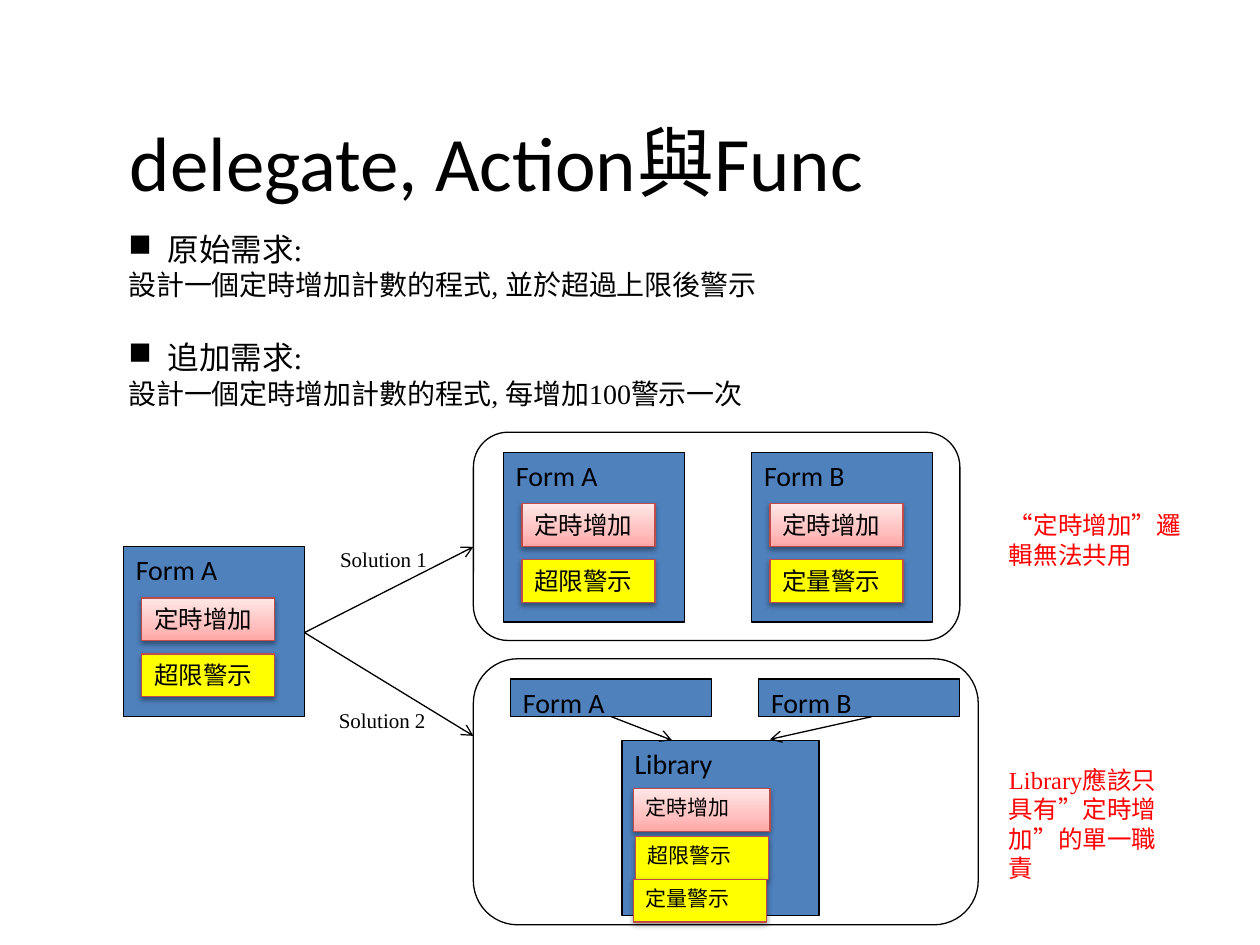
from copy import deepcopy
from lxml.etree import SubElement
from pptx import Presentation
from pptx.dml.color import RGBColor
from pptx.enum.shapes import MSO_CONNECTOR, MSO_SHAPE
from pptx.enum.text import MSO_ANCHOR, PP_ALIGN
from pptx.oxml.ns import qn
from pptx.util import Pt

COLORS = {"black": "000000", "blue": "4F81BD", "yellow": "FFFF00", "edge": "BF4C48", "red": "FF0000"}
COLORS = {name: RGBColor.from_string(value) for name, value in COLORS.items()}
PINK_STOPS = [(0, "FFA6A5"), (0.35, "FFC0BF"), (1, "FFE7E7")]

deck = Presentation()
deck.slide_width, deck.slide_height = Pt(720), Pt(540)
page = deck.slides.add_slide(deck.slide_layouts[5])


def write(shape, text, size, font="Calibri", color="black"):
    frame = shape.text_frame
    frame.word_wrap = True
    frame.vertical_anchor = MSO_ANCHOR.TOP
    para = frame.paragraphs[0]
    para.text = text
    para.alignment = PP_ALIGN.LEFT
    para.font.size = Pt(size)
    para.font.name = font
    para.font.color.rgb = COLORS[color]


def add_box(left, top, width, height, fill=None, text="", size=16, kind=MSO_SHAPE.RECTANGLE):
    box = page.shapes.add_shape(kind, Pt(left), Pt(top), Pt(width), Pt(height))
    box.shadow.inherit = False
    box.line.width = Pt(0.75)
    box.line.color.rgb = COLORS["edge" if fill in ("pink", "yellow") else "black"]
    if fill is None:
        box.fill.background()
    elif fill == "pink":
        box.fill.gradient()
        box.fill.gradient_angle = 90
        stop_list = box._element.spPr.find(qn("a:gradFill")).find(qn("a:gsLst"))
        stop_list.append(deepcopy(stop_list[0]))
        for stop, (position, color) in zip(box.fill.gradient_stops, PINK_STOPS):
            stop.position = position
            stop.color.rgb = RGBColor.from_string(color)
    else:
        box.fill.solid()
        box.fill.fore_color.rgb = COLORS[fill]
    if fill in ("pink", "yellow"):
        effects = box._element.spPr.find(qn("a:effectLst"))
        shadow = SubElement(effects, qn("a:outerShdw"), blurRad=str(Pt(3.1)),
                            dist=str(Pt(1.6)), dir="5400000", rotWithShape="0")
        tint = SubElement(shadow, qn("a:srgbClr"), val="000000")
        SubElement(tint, qn("a:alpha"), val="38000")
    if text:
        write(box, text, size)


title = page.shapes.title
title.left, title.top, title.width, title.height = Pt(67), Pt(60.5), Pt(628), Pt(62.5)
write(title, "delegate, Action與Func", 44)
title.text_frame.vertical_anchor = MSO_ANCHOR.MIDDLE

needs = page.shapes.add_textbox(Pt(66.25), Pt(128), Pt(628), Pt(363)).text_frame
needs.word_wrap = True
need_lines = [
    ("原始需求:", True, 0),
    ("設計一個定時增加計數的程式, 並於超過上限後警示", False, 0),
    ("追加需求:", True, 21),
    ("設計一個定時增加計數的程式, 每增加100警示一次", False, 0),
]
for index, (text, heading, gap) in enumerate(need_lines):
    para = needs.add_paragraph() if index else needs.paragraphs[0]
    para.text = text
    para.space_before = Pt(gap)
    para.font.size = Pt(18 if heading else 16)
    para.font.name = "Times New Roman"
    para.font.color.rgb = COLORS["black"]
    if heading:
        props = para._p.get_or_add_pPr()
        props.set("marL", str(Pt(22.5)))
        props.set("indent", str(-Pt(22.5)))
        bullet = SubElement(props, qn("a:buChar"), char="■")
        props.insert_element_before(bullet, "a:tabLst", "a:defRPr", "a:extLst")

forms = [
    (70.5, 312.5, "Form A", "超限警示"),
    (287.75, 258.5, "Form A", "超限警示"),
    (429.5, 258.5, "Form B", "定量警示"),
]
for left, top, name, alert in forms:
    add_box(left, top, 103.5, 97, "blue", name)
    add_box(left + 10.5, top + 29.25, 76, 24.5, "pink", "定時增加", 14)
    add_box(left + 10.5, top + 61.25, 76, 24.5, "yellow", alert, 14)

for left, name in [(291.75, "Form A"), (433.5, "Form B")]:
    add_box(left, 388, 115, 21.5, "blue", name)
add_box(355.5, 423, 112.5, 100, "blue", "Library")
add_box(362, 450.5, 78, 24.5, "pink", "定時增加", 12)
add_box(363, 478, 76, 24.5, "yellow", "超限警示", 12)
add_box(362, 502.5, 76, 24.5, "yellow", "定量警示", 12)

for top, width, height in [(247, 278, 119), (376.5, 288.5, 152)]:
    add_box(270.5, top, width, height, kind=MSO_SHAPE.ROUNDED_RECTANGLE)

arrows = [
    (174, 361.5, 270.5, 312.5),
    (174, 361.5, 270.5, 420.5),
    (349.25, 409.5, 384, 423),
    (498.25, 409.5, 440, 422.5),
]
for ends in arrows:
    arrow = page.shapes.add_connector(MSO_CONNECTOR.STRAIGHT, *map(Pt, ends))
    arrow.line.width = Pt(0.75)
    arrow.line.color.rgb = COLORS["black"]
    SubElement(arrow.line._get_or_add_ln(), qn("a:tailEnd"), type="arrow")
    SubElement(arrow._element.spPr, qn("a:effectLst"))

labels = [
    (187.25, 309, 70.5, 21.5, "Solution 1", 12, "black"),
    (186.5, 400.5, 70.5, 21.5, "Solution 2", 12, "black"),
    (569.5, 288, 113, 41, "“定時增加”邏輯無法共用", 14, "red"),
    (569.5, 433.5, 108, 58.5, "Library應該只具有”定時增加”的單一職責", 14, "red"),
]
for left, top, width, height, text, size, color in labels:
    label = page.shapes.add_textbox(Pt(left), Pt(top), Pt(width), Pt(height))
    write(label, text, size, "Times New Roman", color)

deck.save("out.pptx")
